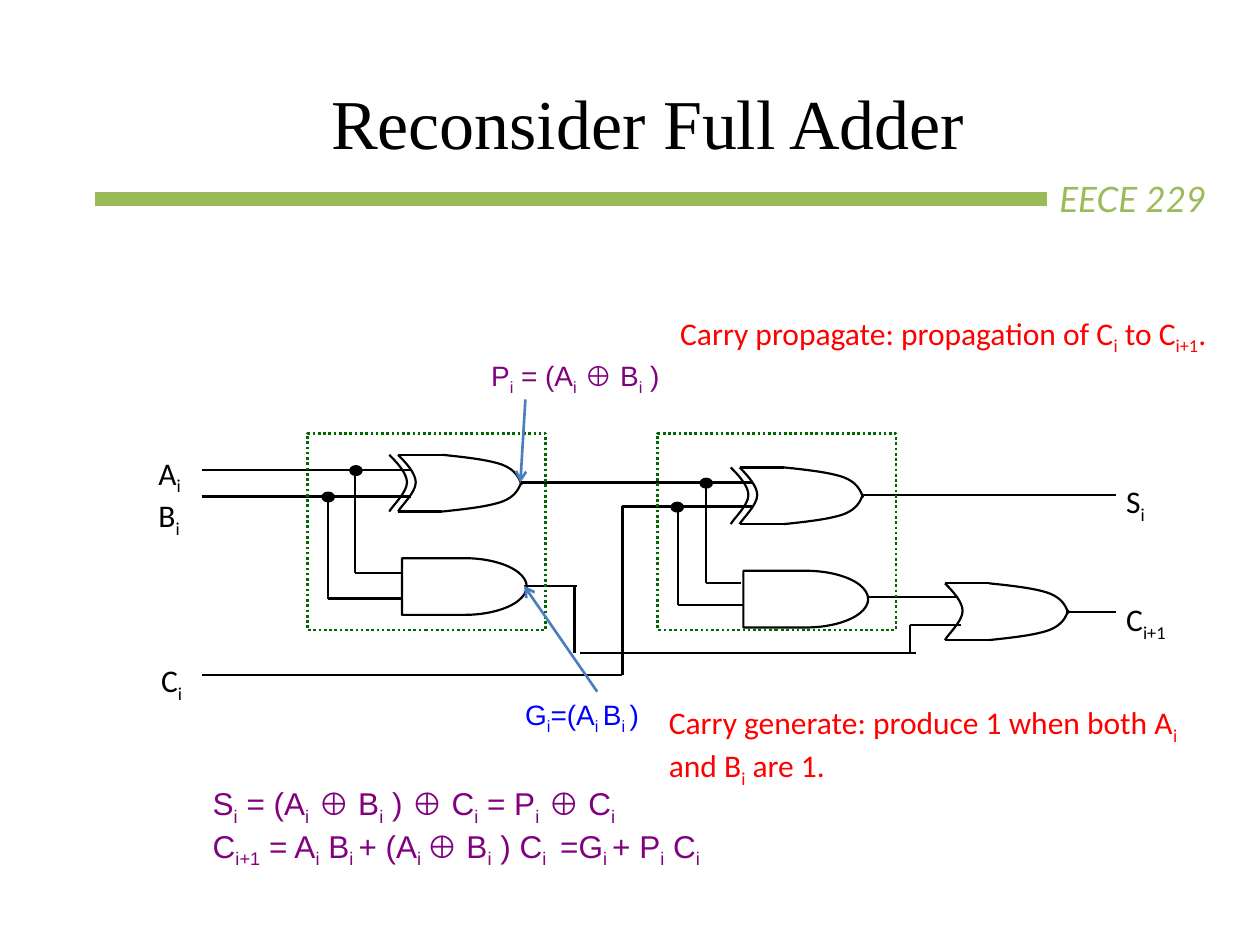
from typing import NamedTuple

from lxml import etree
from pptx import Presentation
from pptx.dml.color import RGBColor
from pptx.enum.dml import MSO_LINE_DASH_STYLE as Dash
from pptx.enum.shapes import MSO_CONNECTOR_TYPE as Connector
from pptx.enum.shapes import MSO_SHAPE as Shape
from pptx.enum.text import MSO_AUTO_SIZE as AutoSize
from pptx.oxml.ns import qn
from pptx.util import Inches, Pt

BLACK, GREEN, DARK_GREEN = "000000", "9BBB59", "006600"
PURPLE, BLUE, RED, ARROW_BLUE = "800080", "0000FF", "FF0000", "4B7EBC"
WIRE_WIDTH = 1.25
GATE_HEIGHT = 0.45


class Wire(NamedTuple):
    x1: float
    y1: float
    x2: float
    y2: float


class Label(NamedTuple):
    left: float
    top: float
    width: float
    height: float
    lines: list[str]  # every second piece between bars is a subscript
    font: str
    size: float
    color: str = BLACK
    italic: bool = False
    grow: bool = False
    wrap: bool = True


class Gate(NamedTuple):
    left: float
    top: float
    exclusive: bool


WIRES = [
    # Inputs and first half adder
    Wire(1.6, 3.73, 3.26, 3.73), Wire(1.6, 3.94, 3.26, 3.94),
    Wire(2.82, 3.74, 2.82, 4.55), Wire(2.82, 4.55, 3.19, 4.55),
    Wire(2.6, 3.94, 2.6, 4.75), Wire(2.6, 4.75, 3.19, 4.75),
    Wire(4.13, 3.83, 5.98, 3.83), Wire(4.16, 4.65, 4.58, 4.65),
    # Carry input
    Wire(1.6, 5.36, 4.94, 5.36), Wire(4.94, 4.02, 4.94, 5.36),
    Wire(4.94, 4.02, 5.97, 4.02),
    # Second half adder
    Wire(5.6, 3.82, 5.6, 4.63), Wire(5.6, 4.63, 5.88, 4.63),
    Wire(5.38, 3.99, 5.38, 4.8), Wire(5.38, 4.8, 5.9, 4.8),
    Wire(6.86, 3.93, 8.86, 3.93), Wire(6.9, 4.74, 7.6, 4.74),
    # Generated carry and carry output
    Wire(4.56, 5.18, 4.56, 4.64), Wire(4.6, 5.18, 7.27, 5.18),
    Wire(7.22, 5.18, 7.22, 4.96), Wire(7.22, 4.96, 7.63, 4.96),
    Wire(8.46, 4.86, 8.86, 4.86),
]
POINTERS = [Wire(4.17, 3.17, 4.13, 3.83), Wire(4.74, 5.49, 4.16, 4.65)]
JUNCTIONS = [(2.56, 3.91), (2.78, 3.7), (5.33, 3.99), (5.56, 3.8)]
AND_GATES = [(3.19, 4.43), (5.9, 4.53)]
OR_GATES = [Gate(3.16, 3.61, True), Gate(5.87, 3.71, True), Gate(7.5, 4.63, False)]
HALF_ADDERS = [(2.44, 3.44), (5.22, 3.44)]

# Gate outlines as cubic curves, relative to the gate's top left corner
BACK = [(0, 0), (0.07, 0.07), (0.14, 0.15), (0.14, 0.22),
        (0.14, 0.3), (0.02, 0.41), (0, GATE_HEIGHT)]
TOP = [(0.35, 0), (0.54, 0.02), (0.72, 0.04), (0.83, 0.08),
       (0.93, 0.12), (0.96, 0.18), (0.98, 0.24)]
BOTTOM = [(x, GATE_HEIGHT - y) for x, y in TOP]

LABELS = [
    Label(8.31, 1.36, 1.67, 0.44, ["EECE 229"], "Lato", 20, GREEN, italic=True, grow=True),
    Label(2.53, 0.58, 5.28, 0.77, ["Reconsider Full Adder"], "Times New Roman", 40,
          grow=True, wrap=False),
    Label(1.16, 3.55, 0.56, 0.45, ["A|i |B|i"], "Calibri", 18),
    Label(1.18, 5.2, 0.56, 0.29, ["C|i"], "Calibri", 18),
    Label(8.84, 3.78, 0.56, 0.28, ["S|i"], "Calibri", 18),
    Label(8.84, 4.71, 0.56, 0.29, ["C|i+1"], "Calibri", 18),
    Label(4.07, 5.49, 1.35, 0.38, ["G|i|=(A|i |B|i |)"], "Arial", 16, BLUE),
    Label(3.8, 2.8, 2.07, 0.29, ["P|i| = (A|i| ⊕ B|i| )"], "Arial", 16, PURPLE),
    Label(1.59, 6.17, 4.16, 0.91,
          ["S|i| = (A|i| ⊕ B|i| ) ⊕ C|i| = P|i| ⊕ C|i",
           "C|i+1| = A|i| B|i |+ (A|i |⊕ B|i| ) C|i | =G|i |+ P|i| C|i"],
          "Arial", 18, PURPLE, grow=True, wrap=False),
    Label(5.21, 5.53, 4.28, 0.71,
          ["Carry generate: produce 1 when both A|i| and B|i| are 1."],
          "Calibri", 18, RED, grow=True),
    Label(5.3, 2.44, 4.45, 0.4,
          ["Carry propagate: propagation of C|i| to C|i+1|."],
          "Calibri", 18, RED, grow=True),
]


def rgb(color: str) -> RGBColor:
    return RGBColor.from_string(color)


def style_line(line, color: str, width: float) -> None:
    line.color.rgb = rgb(color)
    line.width = Pt(width)


def draw_wire(shapes, wire: Wire, color=BLACK, width=WIRE_WIDTH, arrow=False) -> None:
    connector = shapes.add_connector(Connector.STRAIGHT, *map(Inches, wire))
    style_line(connector.line, color, width)
    properties = connector._element.spPr
    if arrow:
        etree.SubElement(properties.find(qn("a:ln")), qn("a:tailEnd"), type="arrow")
    etree.SubElement(properties, qn("a:effectLst"))


def draw_shape(shapes, kind, left: float, top: float, width: float, height: float,
               color=BLACK, line_width=WIRE_WIDTH, filled=False):
    shape = shapes.add_shape(kind, *map(Inches, (left, top, width, height)))
    shape.shadow.inherit = False
    if filled:
        shape.fill.solid()
        shape.fill.fore_color.rgb = rgb(color)
    else:
        shape.fill.background()
    style_line(shape.line, color, line_width)
    return shape


def draw_curve(shapes, controls: list, left: float, top: float) -> None:
    """Draw a chain of cubic curves that share their end points."""
    points = [(Inches(left + x), Inches(top + y)) for x, y in controls]
    builder = shapes.build_freeform(*points[0])
    builder.add_line_segments(points[1:], close=False)
    curve = builder.convert_to_shape()
    curve.shadow.inherit = False
    curve.fill.background()
    style_line(curve.line, BLACK, WIRE_WIDTH)
    # Join every three straight segments into one cubic segment
    segments = list(curve._element.iter(qn("a:lnTo")))
    outline = segments[0].getparent()
    for start in range(0, len(segments), 3):
        cubic = etree.SubElement(outline, qn("a:cubicBezTo"))
        for segment in segments[start:start + 3]:
            cubic.append(segment[0])
            outline.remove(segment)


def draw_or_gate(shapes, gate: Gate) -> None:
    for outline in (BACK, TOP, BOTTOM):
        draw_curve(shapes, outline, gate.left, gate.top)
    if gate.exclusive:
        draw_curve(shapes, BACK, gate.left - 0.07, gate.top)
    for y in (gate.top, gate.top + GATE_HEIGHT):
        draw_wire(shapes, Wire(gate.left, y, gate.left + 0.35, y))


def draw_label(shapes, label: Label) -> None:
    frame = shapes.add_textbox(*map(Inches, label[:4])).text_frame
    frame.word_wrap = label.wrap
    frame.auto_size = AutoSize.SHAPE_TO_FIT_TEXT if label.grow else AutoSize.NONE
    font_format = {"name": label.font, "size": Pt(label.size), "italic": label.italic}
    for number, line in enumerate(label.lines):
        paragraph = frame.add_paragraph() if number else frame.paragraphs[0]
        for index, piece in enumerate(line.split("|")):
            run = paragraph.add_run()
            run.text = piece
            for name, value in font_format.items():
                setattr(run.font, name, value)
            run.font.color.rgb = rgb(label.color)
            if index % 2:
                run._r.get_or_add_rPr().set("baseline", "-25000")


def main() -> None:
    presentation = Presentation()
    presentation.slide_width, presentation.slide_height = Inches(10), Inches(7.5)
    shapes = presentation.slides.add_slide(presentation.slide_layouts[6]).shapes

    # Title rule
    draw_wire(shapes, Wire(0.75, 1.58, 8.31, 1.58), GREEN, 8)

    # Circuit
    for wire in WIRES:
        draw_wire(shapes, wire)
    for left, top in AND_GATES:
        draw_shape(shapes, Shape.FLOWCHART_DELAY, left, top, 0.99, GATE_HEIGHT)
    for gate in OR_GATES:
        draw_or_gate(shapes, gate)
    for left, top in JUNCTIONS:
        draw_shape(shapes, Shape.OVAL, left, top, 0.09, 0.07, filled=True)
    for left, top in HALF_ADDERS:
        frame = draw_shape(shapes, Shape.RECTANGLE, left, top, 1.89, 1.56, DARK_GREEN, 1.5)
        frame.line.dash_style = Dash.ROUND_DOT

    # Labels, equations and pointers
    for label in LABELS:
        draw_label(shapes, label)
    for pointer in POINTERS:
        draw_wire(shapes, pointer, ARROW_BLUE, 1.5, arrow=True)

    presentation.save("out.pptx")


if __name__ == "__main__":
    main()
